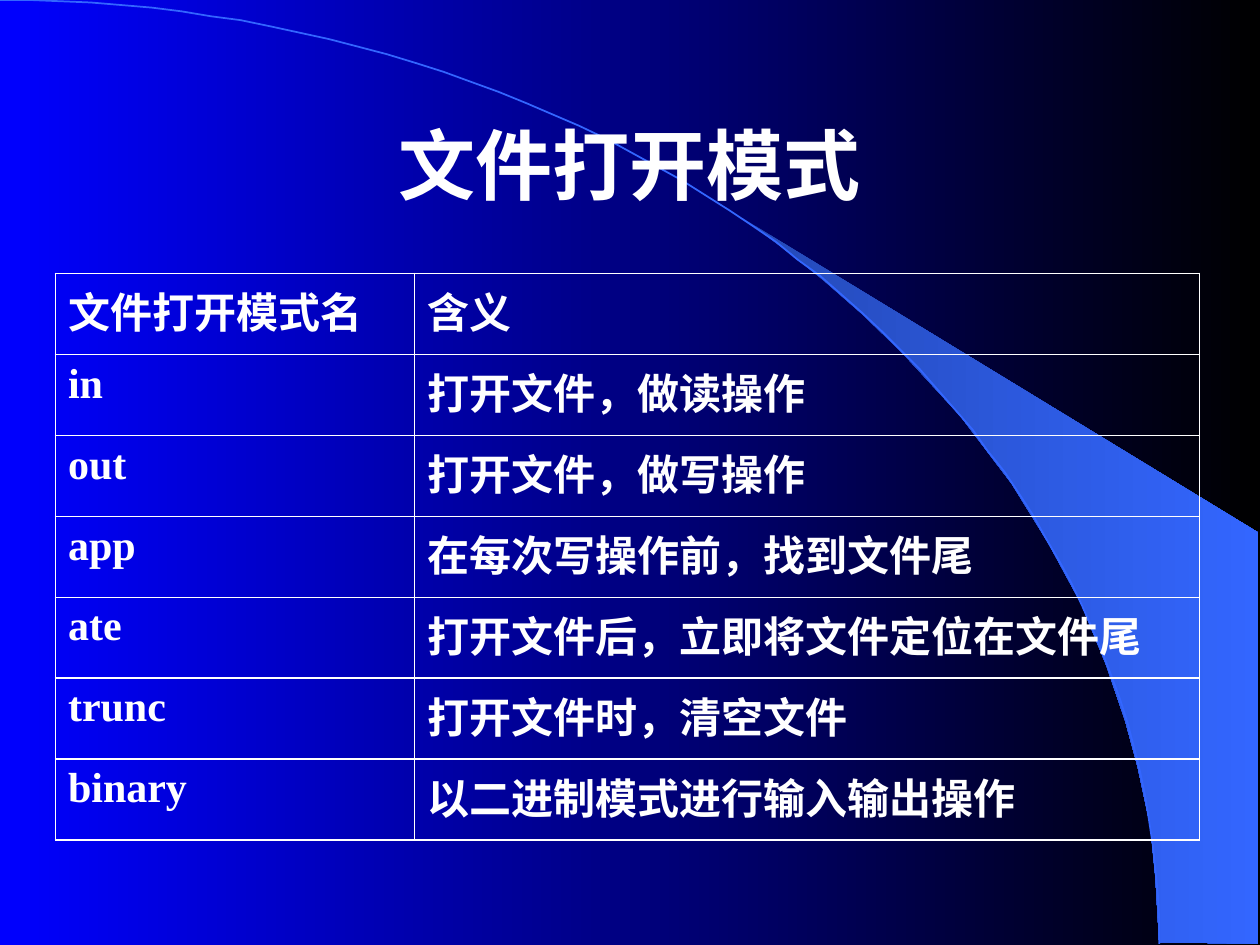
from math import cos, pi, sin

from lxml import etree
from pptx import Presentation
from pptx.dml.color import RGBColor
from pptx.enum.text import MSO_ANCHOR, PP_ALIGN
from pptx.oxml.ns import qn
from pptx.util import Pt

MIDDLE = MSO_ANCHOR.MIDDLE
CENTER = PP_ALIGN.CENTER

PX = 9144  # EMU per px, 100 px to the inch
WHITE = RGBColor(0xFF, 0xFF, 0xFF)
BLACK = RGBColor(0x00, 0x00, 0x00)
BLUE = RGBColor(0x00, 0x00, 0xFF)
BEAM_DARK = RGBColor(0x24, 0x49, 0xB6)
BEAM_LIGHT = RGBColor(0x33, 0x66, 0xFF)

# Corners of the light beam, relative to its box
BEAM = [(331, 575), (410, 576), (410, 250), (0, 0), (35, 26), (64, 49),
        (96, 77), (127, 107), (173, 157), (214, 211), (243, 258), (269, 306),
        (289, 355), (304, 399), (314, 436), (324, 483), (328, 523)]
ARC_STEPS = 60

MODES = [
    ("文件打开模式名", "含义"),
    ("in", "打开文件，做读操作"),
    ("out", "打开文件，做写操作"),
    ("app", "在每次写操作前，找到文件尾"),
    ("ate", "打开文件后，立即将文件定位在文件尾"),
    ("trunc", "打开文件时，清空文件"),
    ("binary", "以二进制模式进行输入输出操作"),
]
HANGING = 52


def emu(*lengths):
    return [length * PX for length in lengths]


def set_gradient(fill, start, end):
    fill.gradient()
    fill.gradient_angle = 0
    for stop, color in zip(fill.gradient_stops, (start, end)):
        stop.color.rgb = color


def add_span(para, text, font, size):
    span = para.add_run()
    span.text = text
    span.font.name = font
    span.font.size = Pt(size)
    span.font.bold = True
    span.font.color.rgb = WHITE


def add_outline(page, left, top, points, close):
    builder = page.shapes.build_freeform(*points[0], scale=PX)
    builder.add_line_segments(points[1:], close=close)
    outline = builder.convert_to_shape(*emu(left, top))
    outline.shadow.inherit = False
    return outline


def add_backdrop(page, left, top, width, height):
    set_gradient(page.background.fill, BLUE, BLACK)

    # Light beam
    beam = add_outline(page, left + 589, top + 173, BEAM, True)
    set_gradient(beam.fill, BEAM_DARK, BEAM_LIGHT)
    beam.line.fill.background()

    # Quarter ellipse
    angles = [pi / 2 * step / ARC_STEPS for step in range(ARC_STEPS + 1)]
    points = [(width * sin(a), height * (1 - cos(a))) for a in angles]
    arc = add_outline(page, left, top, points, False)
    arc.fill.background()
    arc.line.color.rgb = BEAM_LIGHT
    arc.line.width = Pt(1)


def add_title(page, left, top, width, height):
    box = page.shapes.add_textbox(*emu(left, top, width, height))
    frame = box.text_frame
    frame.word_wrap = True
    frame.vertical_anchor = MIDDLE
    para = frame.paragraphs[0]
    para.alignment = CENTER
    add_span(para, "文件打开模式", "Arial", 44)


def add_borders(cell):
    properties = cell._tc.get_or_add_tcPr()
    for side in ("a:lnL", "a:lnR", "a:lnT", "a:lnB"):
        line = etree.SubElement(properties, qn(side), w=str(Pt(1)))
        fill = etree.SubElement(line, qn("a:solidFill"))
        etree.SubElement(fill, qn("a:srgbClr"), val=str(WHITE))


def add_mode_table(page, left, top, width, height):
    frame = page.shapes.add_table(len(MODES), 2, *emu(left, top, width, height))
    table = frame.table
    table.first_row = False
    table.horz_banding = False
    name_width = 285
    table.columns[0].width, table.columns[1].width = emu(name_width, width - name_width)
    for row, texts in zip(table.rows, MODES):
        row.height = height * PX // len(MODES)
        for cell, text in zip(row.cells, texts):
            add_borders(cell)
            cell.fill.background()
            para = cell.text_frame.paragraphs[0]
            indents = para._p.get_or_add_pPr()
            indents.set("marL", str(HANGING * PX))
            indents.set("indent", str(-HANGING * PX))
            add_span(para, text, "Times New Roman", 24)


def main():
    deck = Presentation()
    deck.slide_width, deck.slide_height = emu(1000, 750)
    page = deck.slides.add_slide(deck.slide_layouts[6])
    add_backdrop(page, 0, 0, 920, 749)
    add_title(page, 75, 67, 850, 125)
    add_mode_table(page, 44, 217, 908, 450)
    deck.save("out.pptx")


if __name__ == "__main__":
    main()
